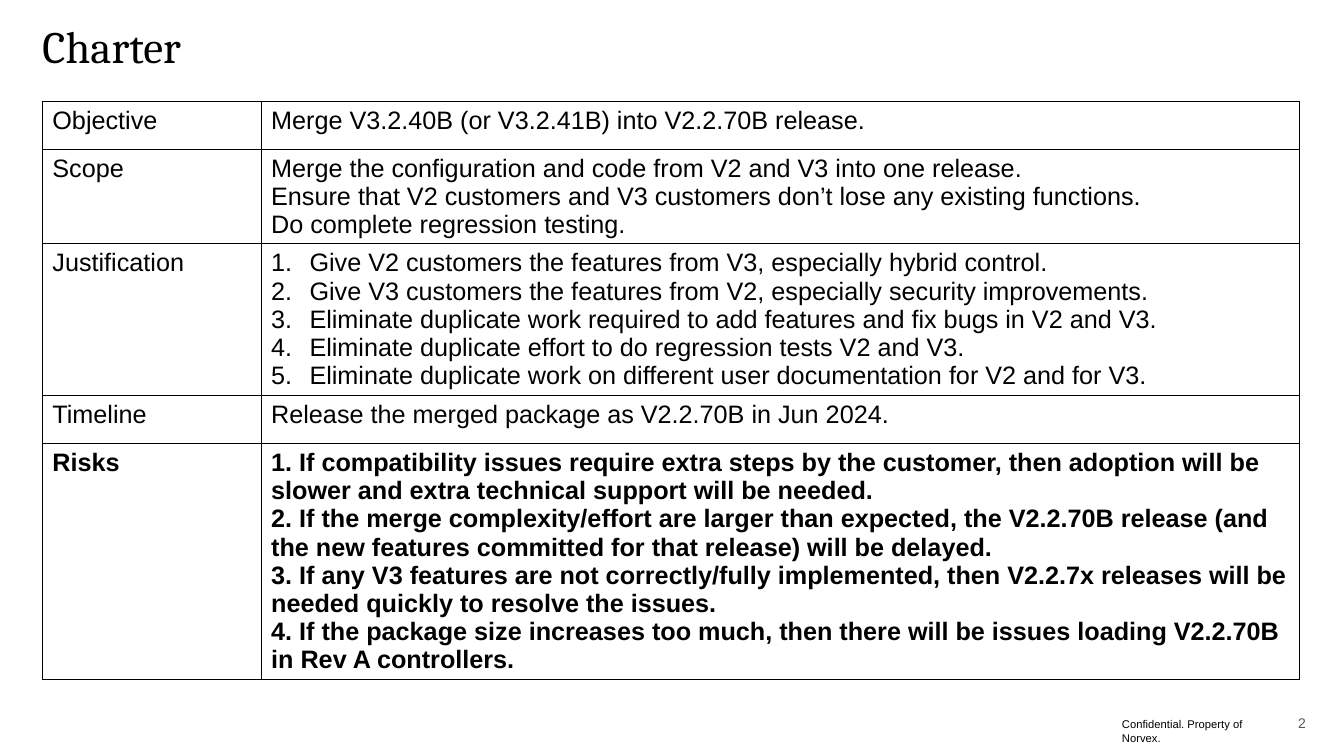
from lxml import etree
from pptx import Presentation
from pptx.dml.color import RGBColor
from pptx.enum import text as t
from pptx.oxml import ns
from pptx.util import Inches, Pt

BLACK = RGBColor(0, 0, 0)
GRAY = RGBColor(0x59, 0x59, 0x59)

TITLE = "Charter"
FOOTER = "Confidential. Property of Norvex."
PAGE_NUMBER = "2"
CHARTER = [
    ("Objective", 0.47, ["Merge V3.2.40B (or V3.2.41B) into V2.2.70B release."]),
    ("Scope", 0.76, [
        "Merge the configuration and code from V2 and V3 into one release.",
        "Ensure that V2 customers and V3 customers don’t lose any existing functions.",
        "Do complete regression testing.",
    ]),
    ("Justification", 0.76, [
        "Give V2 customers the features from V3, especially hybrid control.",
        "Give V3 customers the features from V2, especially security improvements.",
        "Eliminate duplicate work required to add features and fix bugs in V2 and V3.",
        "Eliminate duplicate effort to do regression tests V2 and V3.",
        "Eliminate duplicate work on different user documentation for V2 and for V3.",
    ]),
    ("Timeline", 0.48, ["Release the merged package as V2.2.70B in Jun 2024."]),
    ("Risks", 0.76, [
        "1. If compatibility issues require extra steps by the customer, then adoption "
        "will be slower and extra technical support will be needed.",
        "2. If the merge complexity/effort are larger than expected, the V2.2.70B release "
        "(and the new features committed for that release) will be delayed.",
        "3. If any V3 features are not correctly/fully implemented, then V2.2.7x releases "
        "will be needed quickly to resolve the issues.",
        "4. If the package size increases too much, then there will be issues loading "
        "V2.2.70B in Rev A controllers.",
    ]),
]
NUMBERED = "Justification"
BOLD = "Risks"
COLUMNS = (2.17, 10.3)
LEFT, TABLE_TOP = 0.42, 1.01


def write(frame, lines, size=18, font="Arial", color=BLACK, bold=False,
          align=t.PP_ALIGN.LEFT, spacing=None, numbered=False):
    for index, line in enumerate(lines):
        para = frame.paragraphs[0] if index == 0 else frame.add_paragraph()
        para.alignment = align
        if spacing:
            para.line_spacing = spacing
        if numbered:
            props = para._p.get_or_add_pPr()
            props.set("marL", str(Inches(0.38)))
            props.set("indent", str(-Inches(0.38)))
            etree.SubElement(props, ns.qn("a:buAutoNum"), type="arabicPeriod")
        span = para.add_run()
        span.text = line
        span.font.size = Pt(size)
        span.font.name = font
        span.font.bold = bold
        span.font.color.rgb = color


def outline(cell):
    props = cell._tc.get_or_add_tcPr()
    for side in ("lnL", "lnR", "lnT", "lnB"):
        line = etree.SubElement(props, ns.qn("a:" + side), w=str(Pt(1)))
        fill = etree.SubElement(line, ns.qn("a:solidFill"))
        etree.SubElement(fill, ns.qn("a:srgbClr"), val=str(BLACK))


deck = Presentation()
deck.slide_width, deck.slide_height = Inches(13.33), Inches(7.5)
page = deck.slides.add_slide(deck.slide_layouts[5])

title = page.shapes.title
title.left, title.top = Inches(LEFT), Inches(0.18)
title.width, title.height = Inches(12.5), Inches(0.61)
frame = title.text_frame
frame.margin_left = frame.margin_right = frame.margin_top = frame.margin_bottom = 0
frame.vertical_anchor = t.MSO_ANCHOR.MIDDLE
frame.auto_size = t.MSO_AUTO_SIZE.NONE
write(frame, [TITLE], size=32, font="Cambria", spacing=0.9)

table = page.shapes.add_table(
    len(CHARTER), len(COLUMNS), Inches(LEFT), Inches(TABLE_TOP),
    Inches(sum(COLUMNS)), Inches(sum(height for _, height, _ in CHARTER))).table
table.first_row = table.horz_banding = False
for column, width in zip(table.columns, COLUMNS):
    column.width = Inches(width)
for row, (label, height, lines) in zip(table.rows, CHARTER):
    row.height = Inches(height)
    for cell, content in zip(row.cells, ([label], lines)):
        outline(cell)
        cell.fill.background()
        write(cell.text_frame, content, bold=label == BOLD,
              numbered=label == NUMBERED and content is lines)

footer = page.shapes.add_textbox(Inches(11.03), Inches(7.07), Inches(1.76), Inches(0.24))
footer.text_frame.word_wrap = False
footer.text_frame.auto_size = t.MSO_AUTO_SIZE.SHAPE_TO_FIT_TEXT
write(footer.text_frame, [FOOTER], size=8)

number = page.shapes.add_textbox(Inches(12.5), Inches(7.06), Inches(0.55), Inches(0.22))
number.text_frame.word_wrap = True
number.text_frame.vertical_anchor = t.MSO_ANCHOR.MIDDLE
write(number.text_frame, [PAGE_NUMBER], size=10, color=GRAY, align=t.PP_ALIGN.RIGHT)

deck.save("out.pptx")
